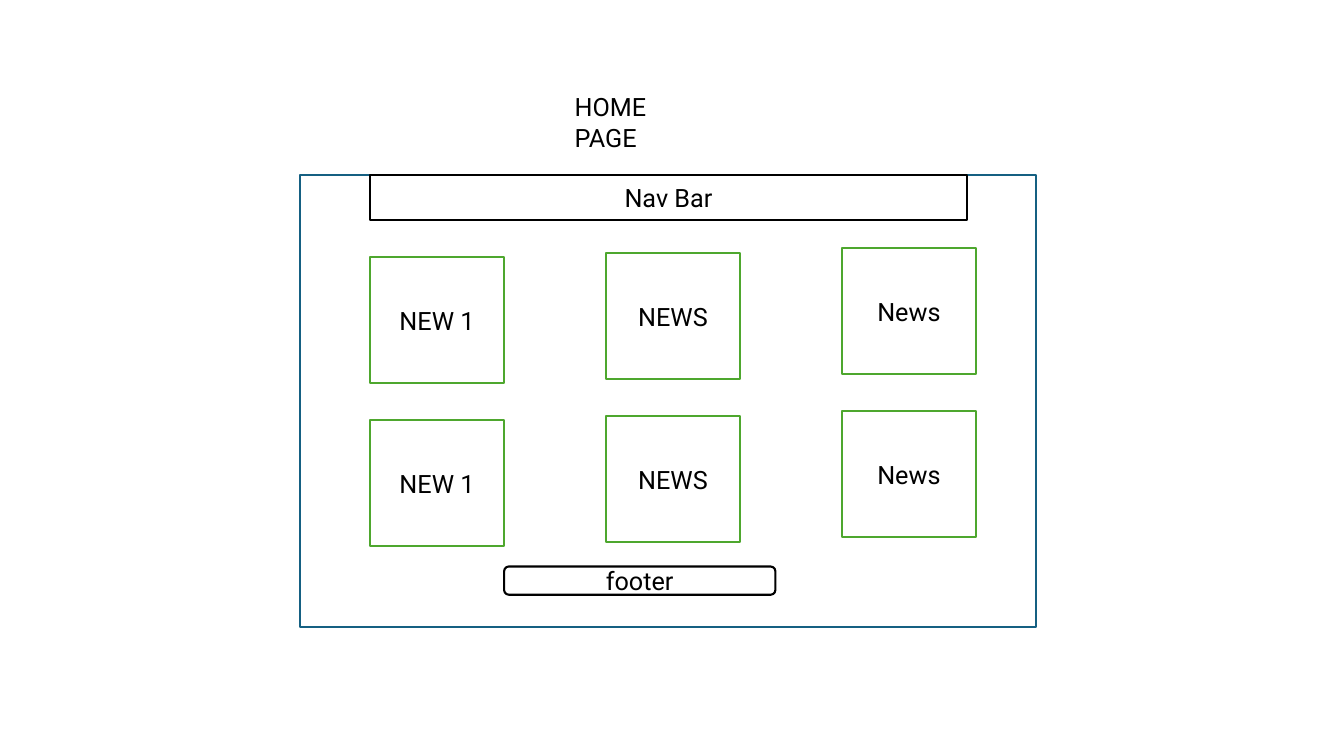
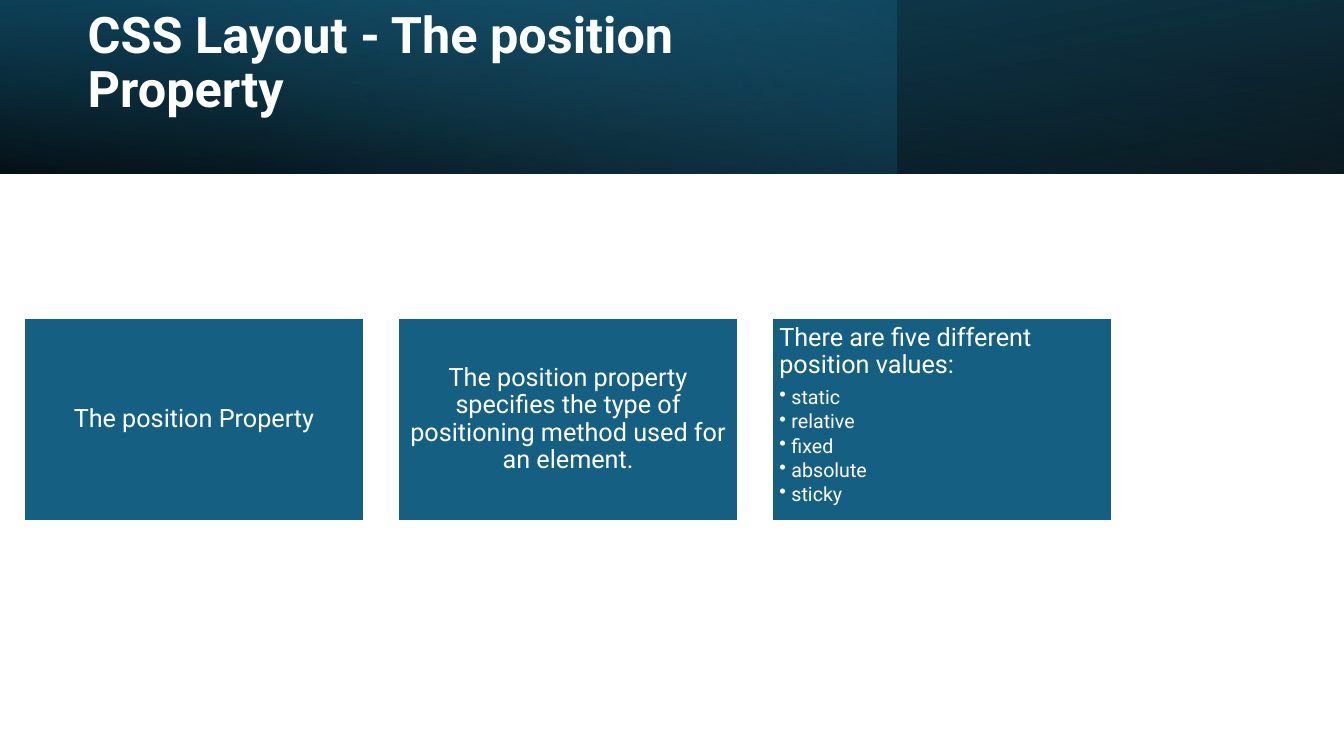
from dataclasses import dataclass

from lxml import etree
from pptx import Presentation
from pptx.dml.color import RGBColor
from pptx.enum import shapes, text
from pptx.oxml import ns
from pptx.util import Inches, Pt


@dataclass(frozen=True)
class Theme:
    font: str = "Roboto"
    black: str = "000000"
    white: str = "FFFFFF"
    blue: str = "156082"
    navy: str = "104862"
    sky: str = "46B1E1"
    green: str = "4EA72E"
    title_size: int = 36
    body_size: int = 18
    bullet_size: int = 14
    outline: float = 1.5
    line_spacing: float = 0.9


THEME = Theme()
RECTANGLE = shapes.MSO_SHAPE.RECTANGLE
ROUNDED = shapes.MSO_SHAPE.ROUNDED_RECTANGLE
CENTER = text.PP_ALIGN.CENTER
LEFT = text.PP_ALIGN.LEFT
MIDDLE = text.MSO_ANCHOR.MIDDLE
TOP = text.MSO_ANCHOR.TOP

HOME_TITLE = "HOME\vPAGE"
PAGE_PARTS = [
    ("", RECTANGLE, THEME.blue, (2.98, 1.74, 7.3, 4.48)),
    ("Nav Bar", RECTANGLE, THEME.black, (3.67, 1.74, 5.92, 0.44)),
    ("footer", ROUNDED, THEME.black, (5, 5.62, 2.69, 0.28)),
]
NEWS_COLUMNS = [("NEW 1", 2.55), ("NEWS", 2.51), ("News", 2.46)]
NEWS_ROWS = 2
NEWS_LEFT, NEWS_STEP_X, NEWS_STEP_Y = 3.67, 2.34, 1.62
NEWS_WIDTH, NEWS_HEIGHT = 1.33, 1.25

POSITION_TITLE = "CSS Layout - The position Property"
BAND_HEIGHT = 1.72
BANDS = [
    (13.33, 100, [(0, THEME.black, 96), (1, THEME.navy, 100)]),
    (8.89, 220, [(0, THEME.blue, 41), (0.74, THEME.sky, 0)]),
    (13.33, 80, [(0, THEME.black, 63), (0.78, THEME.blue, 15)]),
]
CARDS = [
    ("The position Property", []),
    ("The position property specifies the type of positioning method used for an element.", []),
    ("There are five different position values:",
     ["static", "relative", "fixed", "absolute", "sticky"]),
]
CARD_LEFT, CARD_TOP, CARD_STEP = 0.24, 3.15, 3.71
CARD_WIDTH, CARD_HEIGHT, CARD_INSET = 3.37, 2.02, 0.07
BULLET_INDENT = 0.12


def rgb(color):
    return RGBColor.from_string(color)


def write_text(frame, content, *, size=THEME.body_size, color=THEME.black, bold=False,
               align=CENTER, spacing=1.0, after=0, bullet=False, more=False):
    paragraph = frame.add_paragraph() if more else frame.paragraphs[0]
    paragraph.text = content
    paragraph.alignment = align
    paragraph.line_spacing = spacing
    paragraph.space_before = Pt(0)
    paragraph.space_after = Pt(after)
    if bullet:
        properties = paragraph._p.get_or_add_pPr()
        properties.set("marL", str(Inches(BULLET_INDENT)))
        properties.set("indent", str(-Inches(BULLET_INDENT)))
        etree.SubElement(properties, ns.qn("a:buChar"), char="•")
    for run in paragraph.runs:
        run.font.name = THEME.font
        run.font.size = Pt(size)
        run.font.bold = bold
        run.font.color.rgb = rgb(color)


def add_box(slide, box, kind=RECTANGLE, fill=THEME.white, line=None):
    shape = slide.shapes.add_shape(kind, *map(Inches, box))
    shape.shadow.inherit = False
    shape.fill.solid()
    shape.fill.fore_color.rgb = rgb(fill)
    if line:
        shape.line.color.rgb = rgb(line)
        shape.line.width = Pt(THEME.outline)
    else:
        shape.line.fill.background()
    shape.text_frame.word_wrap = True
    shape.text_frame.vertical_anchor = MIDDLE
    return shape


def add_band(slide, width, angle, stops):
    shape = add_box(slide, (0, 0, width, BAND_HEIGHT))
    shape.fill.gradient()
    shape.fill.gradient_angle = angle
    for stop, (position, color, opacity) in zip(shape.fill.gradient_stops, stops):
        stop.position = position
        stop.color.rgb = rgb(color)
    colors = shape._element.spPr.findall(".//" + ns.qn("a:srgbClr"))
    for element, (position, color, opacity) in zip(colors, stops):
        etree.SubElement(element, ns.qn("a:alpha"), val=str(opacity * 1000))


def add_title(slide, content, box, anchor=TOP, **style):
    title = slide.shapes.title
    title.left, title.top, title.width, title.height = map(Inches, box)
    frame = title.text_frame
    frame.word_wrap = True
    frame.auto_size = text.MSO_AUTO_SIZE.NONE
    frame.vertical_anchor = anchor
    write_text(frame, content, align=LEFT, **style)
    slide.shapes._spTree.append(title._element)


def add_card(slide, left, heading, values):
    card = add_box(slide, (left, CARD_TOP, CARD_WIDTH, CARD_HEIGHT),
                   fill=THEME.blue, line=THEME.white)
    frame = card.text_frame
    frame.margin_left = frame.margin_right = Inches(CARD_INSET)
    frame.margin_top = frame.margin_bottom = Inches(CARD_INSET)
    frame.vertical_anchor = TOP if values else MIDDLE
    style = {"color": THEME.white, "spacing": THEME.line_spacing}
    write_text(frame, heading, align=LEFT if values else CENTER, after=6.3, **style)
    for value in values:
        write_text(frame, value, size=THEME.bullet_size, align=LEFT, after=2.1,
                   bullet=True, more=True, **style)


def build_home_page(slide):
    for label, kind, line, box in PAGE_PARTS:
        part = add_box(slide, box, kind, line=line)
        if label:
            write_text(part.text_frame, label)
    for row in range(NEWS_ROWS):
        for column, (label, top) in enumerate(NEWS_COLUMNS):
            box = (NEWS_LEFT + column * NEWS_STEP_X, top + row * NEWS_STEP_Y,
                   NEWS_WIDTH, NEWS_HEIGHT)
            news = add_box(slide, box, line=THEME.green)
            write_text(news.text_frame, label)
    add_title(slide, HOME_TITLE, (5.6, 0.86, 1.55, 0.7))


def build_position_page(slide):
    for band in BANDS:
        add_band(slide, *band)
    add_title(slide, POSITION_TITLE, (0.77, 0, 7.72, 1.27), anchor=MIDDLE,
              size=THEME.title_size, color=THEME.white, bold=True,
              spacing=THEME.line_spacing)
    for index, (heading, values) in enumerate(CARDS):
        add_card(slide, CARD_LEFT + index * CARD_STEP, heading, values)


def main():
    presentation = Presentation()
    presentation.slide_width = Inches(13.33)
    presentation.slide_height = Inches(7.5)
    title_only = presentation.slide_layouts[5]
    for build in (build_home_page, build_position_page):
        build(presentation.slides.add_slide(title_only))
    presentation.save("out.pptx")


if __name__ == "__main__":
    main()
